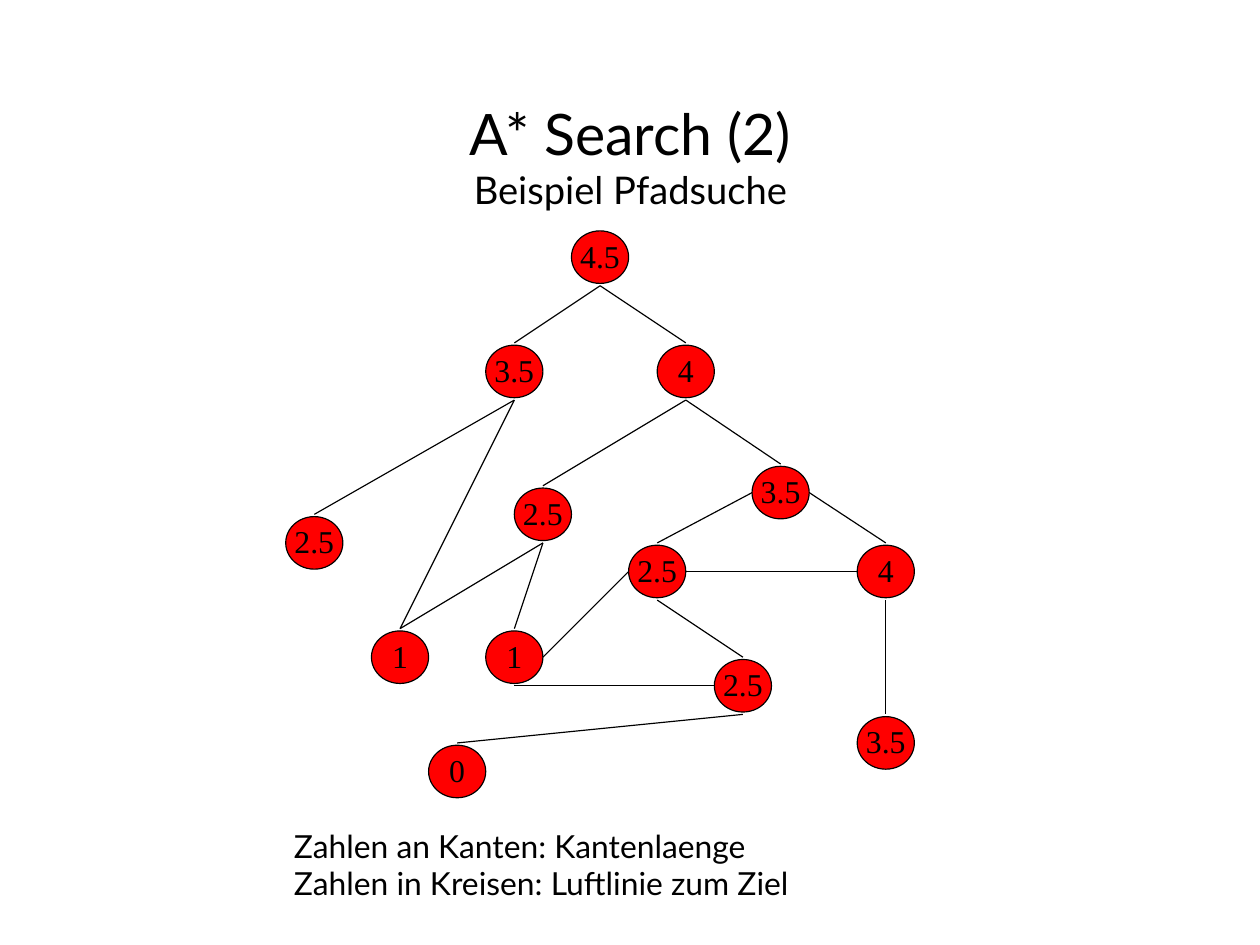
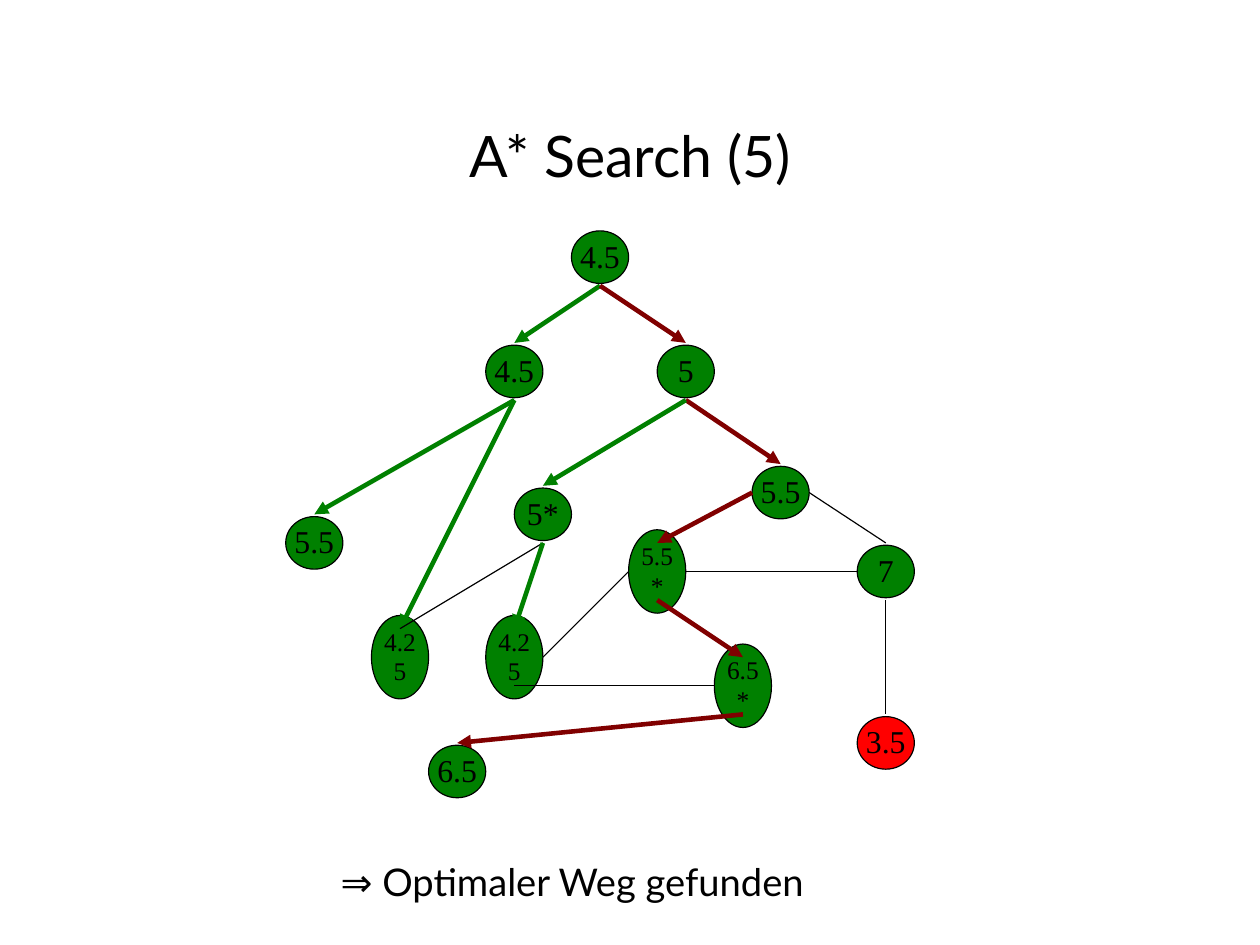
from dataclasses import dataclass
from itertools import pairwise

from lxml.etree import SubElement
from pptx import Presentation
from pptx.dml.color import RGBColor
from pptx.enum.shapes import MSO_CONNECTOR as Connector, MSO_SHAPE as Shape
from pptx.enum.text import MSO_ANCHOR as Anchor, MSO_AUTO_SIZE as AutoSize, PP_ALIGN as Align
from pptx.oxml.ns import qn
from pptx.util import Inches, Pt


CM_PER_INCH = 2.54


@dataclass(frozen=True)
class Theme:
    ink: RGBColor = RGBColor(0, 0, 0)
    open_node: RGBColor = RGBColor(0xFF, 0, 0)
    visited: RGBColor = RGBColor(0, 0x80, 0)
    best: RGBColor = RGBColor(0x80, 0, 0)
    text_font: str = "Lato"
    node_font: str = "Times New Roman"
    title_size: int = 36
    large_size: int = 24
    normal_size: int = 20
    small_size: int = 16
    thin: float = 0.75
    thick: float = 2.89
    spacing: float = 0.97


CENTERS = {
    "root": (5.25, 2.25),
    "left": (4.5, 3.25),
    "right": (6, 3.25),
    "far left": (2.75, 4.75),
    "inner": (4.75, 4.5),
    "outer": (6.83, 4.31),
    "hub": (5.75, 5),
    "far right": (7.75, 5),
    "low left": (3.5, 5.75),
    "low middle": (4.5, 5.75),
    "low right": (6.5, 6),
    "goal": (4, 6.75),
    "dead end": (7.75, 6.5),
}

REACH = 0.25
SIDES = {
    "top": (0, -REACH),
    "bottom": (0, REACH),
    "west": (-REACH, 0),
    "east": (REACH, 0),
}

EDGES = [
    ("root", "bottom", "left", "top"),
    ("root", "bottom", "right", "top"),
    ("left", "bottom", "far left", "top"),
    ("left", "bottom", "low left", "top"),
    ("low left", "top", "inner", "bottom"),
    ("inner", "bottom", "low middle", "top"),
    ("low middle", "bottom", "low right", "west"),
    ("low right", "bottom", "goal", "top"),
    ("right", "bottom", "outer", "top"),
    ("right", "bottom", "inner", "top"),
    ("outer", "east", "far right", "top"),
    ("far right", "west", "hub", "east"),
    ("hub", "west", "low middle", "east"),
    ("outer", "west", "hub", "top"),
    ("far right", "bottom", "dead end", "top"),
    ("hub", "bottom", "low right", "top"),
]

DISTANCES = dict(zip(CENTERS, [
    "4.5", "3.5", "4", "2.5", "2.5", "3.5", "2.5", "4", "1", "1", "2.5", "0", "3.5"]))
COSTS = dict(zip(CENTERS, [
    "4.5", "4.5", "5", "5.5", "5*", "5.5", "5.5*", "7", "4.25", "4.25", "6.5*", "6.5", "3.5"]))

BEST_EDGES = set(pairwise(["root", "right", "outer", "hub", "low right", "goal"]))
VISITED_EDGES = {
    ("root", "left"), ("left", "far left"), ("left", "low left"),
    ("inner", "low middle"), ("right", "inner"),
}


class Deck:
    def __init__(self, theme):
        self.theme = theme
        self.presentation = Presentation()
        self.presentation.slide_width = Inches(28 / CM_PER_INCH)
        self.presentation.slide_height = Inches(21 / CM_PER_INCH)
        self.slide = None

    def add_slide(self, title, subtitle=None):
        layout = self.presentation.slide_layouts[5]
        self.slide = self.presentation.slides.add_slide(layout)
        shape = self.slide.shapes.title
        shape.left, shape.top = Inches(0.81), Inches(0.69)
        shape.width, shape.height = Inches(9.41), Inches(1.38)
        frame = self.prepare_frame(shape, Anchor.MIDDLE)
        paragraph = frame.paragraphs[0]
        paragraph.text = title
        self.style(paragraph, self.theme.title_size, self.theme.text_font, Align.CENTER)
        if subtitle:
            paragraph.add_line_break()
            run = paragraph.add_run()
            run.text = subtitle
            run.font.size = Pt(self.theme.large_size)

    def prepare_frame(self, shape, anchor):
        frame = shape.text_frame
        frame.word_wrap = True
        frame.auto_size = AutoSize.NONE
        frame.vertical_anchor = anchor
        frame.margin_left = frame.margin_right = 0
        frame.margin_top = frame.margin_bottom = 0
        return frame

    def style(self, paragraph, size, font, align, spacing=None):
        paragraph.alignment = align
        paragraph.line_spacing = spacing or self.theme.spacing
        paragraph.font.size = Pt(size)
        paragraph.font.name = font
        paragraph.font.color.rgb = self.theme.ink

    def add_node(self, center, label, color):
        is_long = len(label) > 3
        width, height = 0.5, 0.73 if is_long else 0.46
        x, y = center
        shape = self.slide.shapes.add_shape(
            Shape.OVAL, Inches(x - width / 2), Inches(y - height / 2),
            Inches(width), Inches(height))
        shape.shadow.inherit = False
        shape.fill.solid()
        shape.fill.fore_color.rgb = color
        shape.line.color.rgb = self.theme.ink
        shape.line.width = Pt(self.theme.thin)
        paragraph = self.prepare_frame(shape, Anchor.MIDDLE).paragraphs[0]
        paragraph.text = label
        size = self.theme.small_size if is_long else self.theme.normal_size
        self.style(paragraph, size, self.theme.node_font, Align.CENTER)

    def add_edge(self, start, end, arrow_color=None):
        connector = self.slide.shapes.add_connector(
            Connector.STRAIGHT, *(Inches(value) for value in (*start, *end)))
        connector.line.color.rgb = arrow_color or self.theme.ink
        connector.line.width = Pt(self.theme.thick if arrow_color else self.theme.thin)
        properties = connector._element.spPr
        if arrow_color:
            SubElement(properties.find(qn("a:ln")), qn("a:tailEnd"), type="triangle")
        SubElement(properties, qn("a:effectLst"))

    def add_graph(self, labels, open_nodes, best=(), visited=()):
        for name, center in CENTERS.items():
            color = self.theme.open_node if name in open_nodes else self.theme.visited
            self.add_node(center, labels[name], color)
        for source, source_side, target, target_side in EDGES:
            edge = (source, target)
            color = None
            if edge in best:
                color = self.theme.best
            elif edge in visited:
                color = self.theme.visited
            self.add_edge(anchor_point(source, source_side),
                          anchor_point(target, target_side), color)

    def add_caption(self, lines, left, top, width, height, size, spacing=None):
        box = self.slide.shapes.add_textbox(
            Inches(left), Inches(top), Inches(width), Inches(height))
        frame = self.prepare_frame(box, Anchor.TOP)
        frame.text = "\n".join(lines)
        for paragraph in frame.paragraphs:
            self.style(paragraph, size, self.theme.text_font, Align.LEFT, spacing)


def anchor_point(name, side):
    return tuple(middle + offset for middle, offset in zip(CENTERS[name], SIDES[side]))


def main():
    theme = Theme()
    deck = Deck(theme)

    deck.add_slide("A* Search (2)", "Beispiel Pfadsuche")
    deck.add_graph(DISTANCES, open_nodes=CENTERS)
    deck.add_caption(
        ["Zahlen an Kanten: Kantenlaenge", "Zahlen in Kreisen: Luftlinie zum Ziel"],
        2.57, 7.25, 5.02, 0.65, theme.normal_size)

    deck.add_slide("A* Search (5)")
    deck.add_graph(COSTS, {"dead end"}, BEST_EDGES, VISITED_EDGES)
    deck.add_caption(["⇒ Optimaler Weg gefunden"],
                     2.98, 7.5, 4.64, 0.41, theme.large_size, spacing=1.02)

    deck.presentation.save("out.pptx")


if __name__ == "__main__":
    main()
